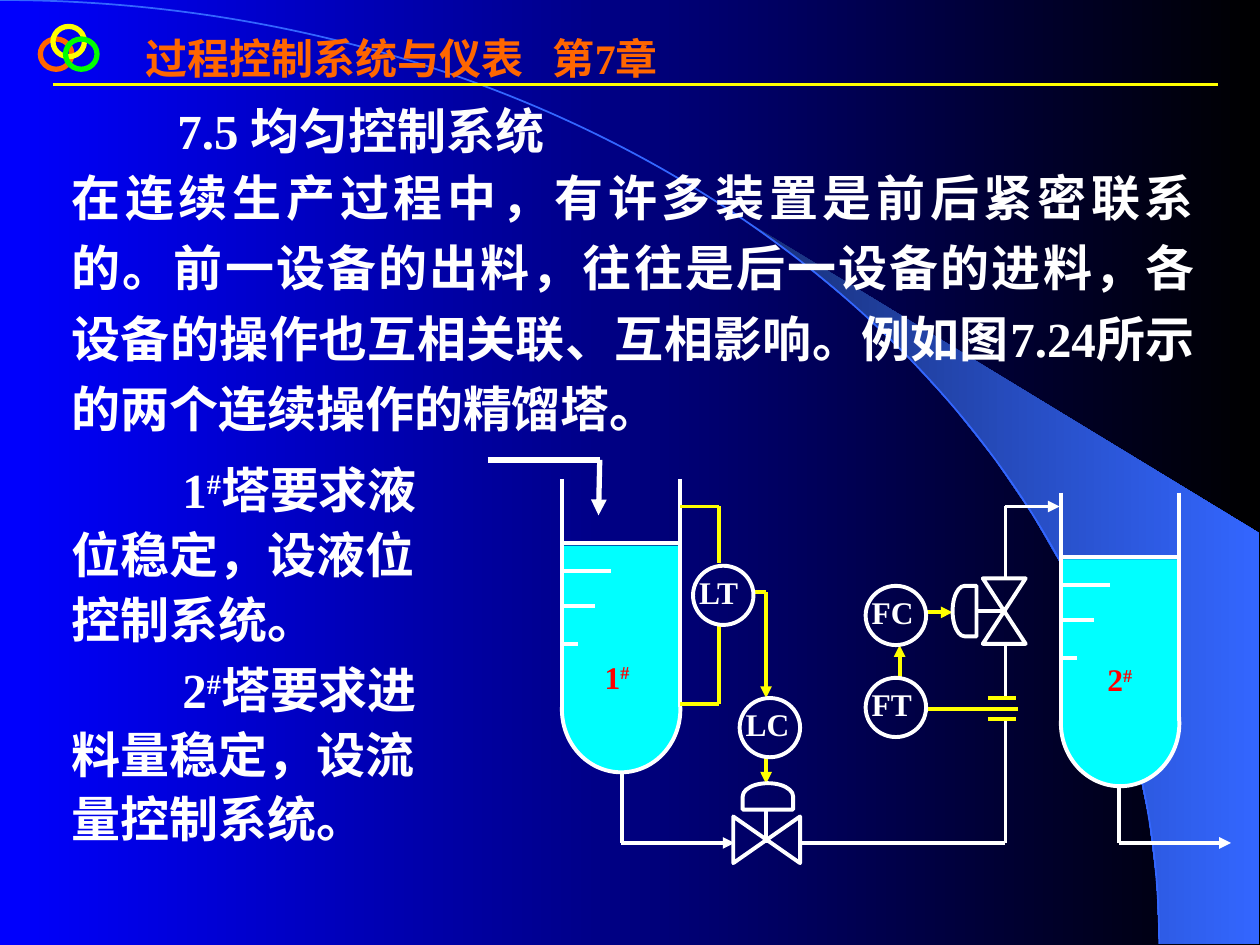
from dataclasses import dataclass
from math import asin, cos, pi, sin

from lxml import etree
from pptx import Presentation
from pptx.dml.color import RGBColor
from pptx.enum.shapes import MSO_CONNECTOR, MSO_SHAPE
from pptx.enum.text import PP_ALIGN
from pptx.oxml.ns import qn
from pptx.util import Inches, Pt

STRAIGHT = MSO_CONNECTOR.STRAIGHT
OVAL = MSO_SHAPE.OVAL
RECTANGLE = MSO_SHAPE.RECTANGLE
COLLATE = MSO_SHAPE.FLOWCHART_COLLATE
DELAY = MSO_SHAPE.FLOWCHART_DELAY
JUSTIFY = PP_ALIGN.JUSTIFY
LEFT = PP_ALIGN.LEFT
COLUMNS, ROWS = 100, 75
SUPERSCRIPT = "30000"


@dataclass(frozen=True)
class Theme:
    latin: str = "Times New Roman"
    east_asian: str = "Noto Sans CJK SC"
    body: float = 28
    header: float = 24
    label: float = 18
    thin: float = 1
    rule: float = 1.5
    pipe: float = 2.25
    heavy: float = 3
    white: str = "FFFFFF"
    heading: str = "FDFDFD"
    yellow: str = "FFFF00"
    orange: str = "FF6600"
    green: str = "00FF00"
    red: str = "FF0000"
    liquid: str = "00FFFF"
    arc: str = "3366FF"
    shade: str = "182F76"
    blue: str = "0000FF"
    black: str = "000000"


class Board:
    def __init__(self, presentation, theme):
        self.theme = theme
        self.column = presentation.slide_width / COLUMNS
        self.row = presentation.slide_height / ROWS
        self.slide = presentation.slides.add_slide(presentation.slide_layouts[6])
        self.shapes = self.slide.shapes

    def place(self, x, y):
        return round(x * self.column), round(y * self.row)

    def gradient(self, fill, start, end):
        fill.gradient()
        fill.gradient_angle = 0
        for stop, color, position in zip(fill.gradient_stops, (start, end), (0, 1)):
            stop.color.rgb = RGBColor.from_string(color)
            stop.position = position

    def outline(self, line, color, width):
        line.color.rgb = RGBColor.from_string(color)
        line.width = Pt(width)

    def shape(self, kind, x, y, width, height, fill=None, color=None, weight=None, rotation=0):
        shape = self.shapes.add_shape(kind, *self.place(x, y), *self.place(width, height))
        shape.shadow.inherit = False
        shape.rotation = rotation
        if fill:
            shape.fill.solid()
            shape.fill.fore_color.rgb = RGBColor.from_string(fill)
        else:
            shape.fill.background()
        if color:
            self.outline(shape.line, color, weight or self.theme.pipe)
        else:
            shape.line.fill.background()
        return shape

    def freeform(self, points):
        corners = [self.place(*point) for point in points]
        builder = self.shapes.build_freeform(*corners[0])
        builder.add_line_segments(corners[1:], close=False)
        shape = builder.convert_to_shape()
        shape.shadow.inherit = False
        return shape

    def curve(self, points, color, weight):
        shape = self.freeform(points)
        shape.fill.background()
        self.outline(shape.line, color, weight)
        segments = list(shape._element.iter(qn("a:lnTo")))
        outline = segments[0].getparent()
        bezier = etree.SubElement(outline, qn("a:cubicBezTo"))
        for segment in segments:
            bezier.append(segment[0])
            outline.remove(segment)

    def line(self, x1, y1, x2, y2, color, weight=None, arrow=False):
        connector = self.shapes.add_connector(STRAIGHT, *self.place(x1, y1), *self.place(x2, y2))
        self.outline(connector.line, color, weight or self.theme.pipe)
        if arrow:
            etree.SubElement(connector.line._get_or_add_ln(), qn("a:tailEnd"), type="triangle")
        etree.SubElement(connector._element.spPr, qn("a:effectLst"))

    def text(self, x, y, width, height, paragraphs, size, color, spacing,
             align=LEFT, indent=0, tab=None, gap=0):
        box = self.shapes.add_textbox(*self.place(x, y), *self.place(width, height))
        frame = box.text_frame
        frame.word_wrap = True
        for index, content in enumerate(paragraphs):
            paragraph = frame.add_paragraph() if index else frame.paragraphs[0]
            paragraph.alignment = align
            paragraph.line_spacing = spacing
            if index:
                paragraph.space_before = Pt(gap)
            properties = paragraph._p.get_or_add_pPr()
            properties.set("hangingPunct", "0")
            if indent:
                properties.set("indent", str(self.place(indent, 0)[0]))
            if tab:
                stops = etree.SubElement(properties, qn("a:tabLst"))
                etree.SubElement(stops, qn("a:tab"), pos=str(self.place(tab, 0)[0]), algn="l")
            for piece in filter(None, content.partition("#")):
                run = paragraph.add_run()
                run.text = piece
                run.font.size = Pt(size)
                run.font.bold = True
                run.font.name = self.theme.latin
                run.font.color.rgb = RGBColor.from_string(color)
                run_properties = run._r.get_or_add_rPr()
                etree.SubElement(run_properties, qn("a:ea"), typeface=self.theme.east_asian)
                if piece == "#":
                    run_properties.set("baseline", SUPERSCRIPT)

    def label(self, x, y, content, color):
        self.text(x, y, 6.8, 4, [content], self.theme.label, color, 1.2, JUSTIFY)

    def instrument(self, x, y, name):
        self.shape(OVAL, x, y, 4.8, 4.7, color=self.theme.white)
        self.label(x - 0.5, y - 0.5, name, self.theme.white)

    def tower(self, x, y):
        theme = self.theme
        self.shape(OVAL, x, y + 13.3, 9.4, 10, theme.liquid, theme.white)
        self.shape(RECTANGLE, x - 0.1, y + 5.3, 9.5, 12.7, theme.liquid)
        for wall in (x, x + 9.4):
            self.line(wall, y, wall, y + 18.1, theme.white)
        for depth, length in ((5.1, 9.2), (7.3, 3.7), (10.1, 2.4), (13.1, 1.1)):
            self.line(x + 0.2, y + depth, x + 0.2 + length, y + depth, theme.white)

    def backdrop(self, steps=13):
        theme = self.theme
        self.gradient(self.slide.background.fill, theme.blue, theme.black)
        start = asin(0.64)
        angles = [start + (pi / 2 - start) * step / steps for step in range(steps + 1)]
        rim = [(92 * sin(angle), 74.9 * (1 - cos(angle))) for angle in angles]
        blade = self.freeform(rim + [(99.9, 74.9), (99.9, 42.3)])
        self.gradient(blade.fill, theme.shade, theme.arc)
        blade.line.fill.background()
        self.curve([(0, 0), (50.8, 0), (92, 33.5), (92, 74.9)], theme.arc, theme.thin)


def main():
    presentation = Presentation()
    presentation.slide_width, presentation.slide_height = Inches(10), Inches(7.5)
    theme = Theme()
    board = Board(presentation, theme)
    board.backdrop()

    board.line(4.2, 6.7, 96.7, 6.7, theme.yellow, theme.rule)
    for x, y, color in ((3.2, 3.1, theme.orange), (4.2, 2.1, theme.yellow), (5.2, 3.1, theme.green)):
        board.shape(OVAL, x, y, 2.5, 2.4, color=color, weight=theme.heavy)

    board.text(10.6, 2.1, 44.9, 9, ["过程控制系统与仪表\t第7章"], theme.header, theme.orange,
               Pt(28.8), tab=32.3)
    board.text(13.1, 7.5, 48.3, 5.7, ["7.5 均匀控制系统"], theme.body, theme.heading, Pt(33.8))
    board.text(4.7, 11.9, 91.1, 23.4, [
        "在连续生产过程中，有许多装置是前后紧密联系的。前一设备的出料，往往是后一设备的进料，"
        "各设备的操作也互相关联、互相影响。例如图7.24所示的两个连续操作的精馏塔。",
    ], theme.body, theme.white, Pt(40.2), JUSTIFY)
    board.text(4.7, 35.55, 31, 32.3, [
        "1#塔要求液位稳定，设液位控制系统。",
        "2#塔要求进料量稳定，设流量控制系统。",
    ], theme.body, theme.white, Pt(36.9), indent=8.8, gap=3.5)

    board.tower(44.6, 38)
    board.tower(84.2, 39.1)
    board.label(47, 51.1, "1#", theme.red)
    board.label(86.9, 51.3, "2#", theme.red)

    pipes = (
        (49.4, 61.2, 49.4, 66.9), (63.4, 66.9, 79.8, 66.9), (79.8, 57, 79.8, 66.9),
        (88.8, 62.2, 88.8, 66.9), (60.8, 64.3, 60.8, 66.9), (77.5, 48.5, 79.9, 48.5),
        (79.8, 51.2, 79.8, 55.4), (79.8, 40.2, 79.8, 45.9),
    )
    flows = ((49.3, 66.9, 58.3, 66.9), (79.8, 40.2, 84.1, 40.2), (88.8, 66.9, 97.7, 66.9))
    signals = (
        (54, 40.2, 57.1, 40.2), (54, 55.9, 57.1, 55.9), (57.1, 40.2, 57.1, 44.7),
        (57.1, 49.6, 57.1, 55.9), (59.8, 47, 60.8, 47), (78.4, 55.4, 80.6, 55.4),
        (78.4, 57.1, 80.6, 57.1), (80.8, 56.3, 73.5, 56.3),
    )
    commands = (
        (60.8, 60.1, 60.8, 62.2), (60.8, 47, 60.8, 55.4),
        (71.4, 54, 71.4, 51.2), (73.5, 48.6, 75.6, 48.6),
    )
    for routes, color, arrow in (
        (pipes, theme.white, False), (flows, theme.white, True),
        (signals, theme.yellow, False), (commands, theme.yellow, True),
    ):
        for route in routes:
            board.line(*route, color, arrow=arrow)
    board.line(38.7, 36.5, 47.6, 36.5, theme.white, theme.heavy)
    board.line(47.6, 36.5, 47.5, 40.9, theme.white, theme.heavy, arrow=True)

    for kind, x, y, width, height, rotation in (
        (COLLATE, 59, 64, 3.7, 5.3, 270), (DELAY, 59.9, 61.2, 2.1, 4, 270),
        (COLLATE, 78, 45.9, 3.4, 5.2, 180), (DELAY, 75.6, 46.5, 1.9, 4, 180),
    ):
        board.shape(kind, x, y, width, height, color=theme.white, rotation=rotation)
    for x, y, name in ((58.7, 55.4, "LC"), (68.7, 53.8, "FT"), (68.7, 46.5, "FC"), (55, 44.9, "LT")):
        board.instrument(x, y, name)

    presentation.save("out.pptx")


if __name__ == "__main__":
    main()
